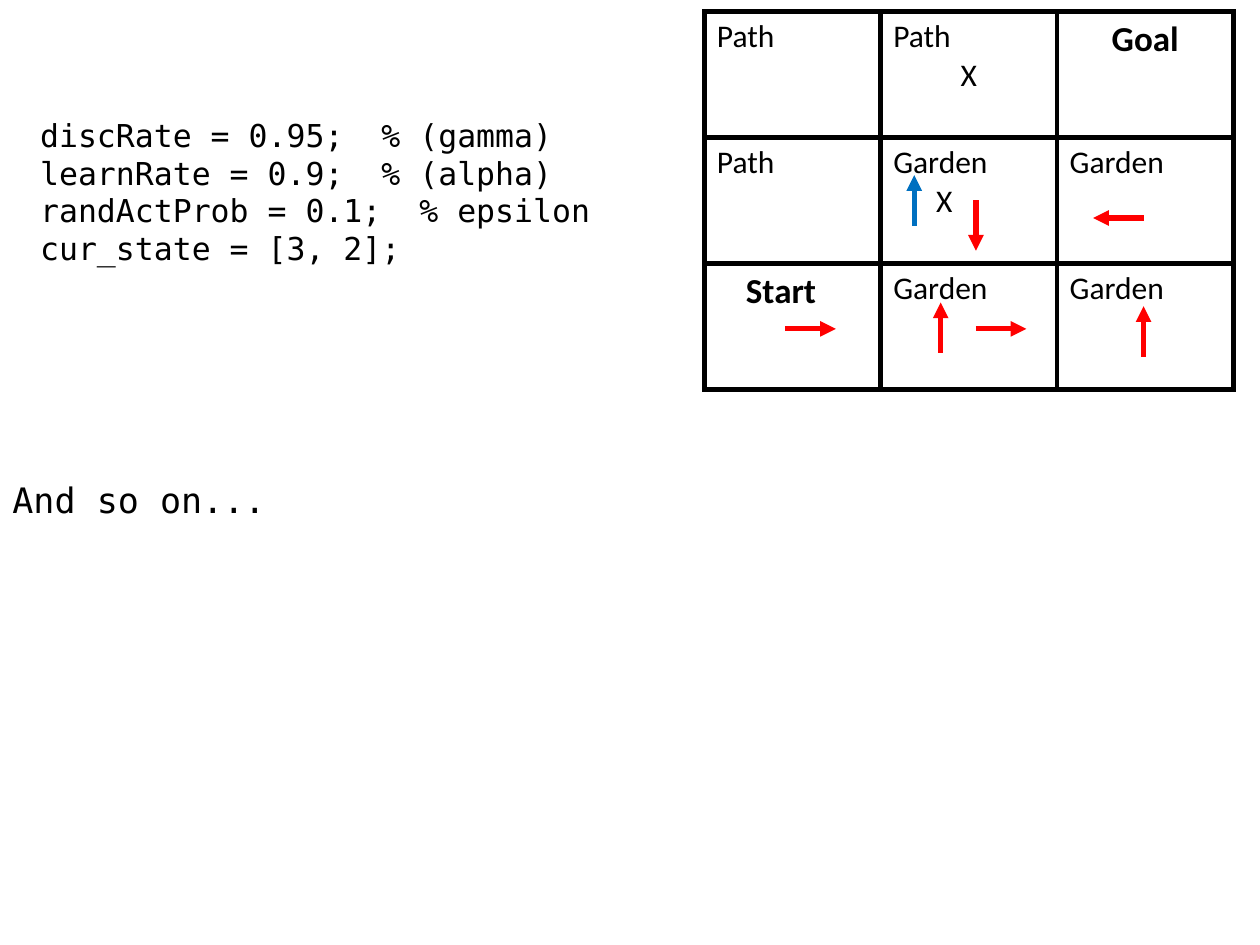
import pptx
import pptx.dml.color
import pptx.enum.shapes
import pptx.enum.text
import pptx.oxml
import pptx.oxml.ns
import pptx.util

Inches = pptx.util.Inches
Align = pptx.enum.text.PP_ALIGN

THEME = {
    "ink": "000000", "policy": "FF0000", "step": "0070C0",
    "body": "Calibri", "code": "DejaVu Sans Mono",
    "normal": 18, "large": 20, "stroke": 3,
}

SLIDE = (10, 7.5)
GRID = {"left": 5.59, "top": 0.09, "cell": (1.4, 1)}
ARROW_LENGTH = 0.4
DIRECTIONS = {"right": (1, 0), "left": (-1, 0), "up": (0, -1), "down": (0, 1)}

SETTINGS = [
    "discRate = 0.95;  % (gamma)",
    "learnRate = 0.9;  % (alpha)",
    "randActProb = 0.1;  % epsilon",
    "cur_state = [3, 2];",
]
CLOSING = "And so on..."

PATH, GARDEN = ("Path", {}), ("Garden", {})
HEADING = {"size": THEME["large"], "bold": True}
WORLD = [
    [[PATH], [PATH, ("X", {"align": Align.CENTER})],
     [("Goal", {**HEADING, "align": Align.CENTER})]],
    [[PATH], [GARDEN, ("X", {"indent": 0.34})], [GARDEN]],
    [[("Start", {**HEADING, "indent": 0.23})], [GARDEN], [GARDEN]],
]

# row, column, start as shares of the cell, direction, colour
ARROWS = [
    (2, 0, 0.46, 0.52, "right", "policy"),
    (2, 1, 0.54, 0.52, "right", "policy"),
    (2, 2, 0.49, 0.74, "up", "policy"),
    (1, 2, 0.49, 0.64, "left", "policy"),
    (1, 1, 0.54, 0.5, "down", "policy"),
    (2, 1, 0.34, 0.71, "up", "policy"),
    (1, 1, 0.19, 0.7, "up", "step"),
]


def colour(name):
    return pptx.dml.color.RGBColor.from_string(THEME[name])


def element(xml):
    namespace = pptx.oxml.ns.nsdecls("a")
    return pptx.oxml.parse_xml(xml.replace("NS", namespace, 1))


def write(frame, text, first=False, font="body", size=THEME["normal"],
          bold=False, align=Align.LEFT, indent=0):
    para = frame.paragraphs[0] if first else frame.add_paragraph()
    para.alignment = align
    if indent:
        para._p.get_or_add_pPr().set("marL", str(Inches(indent)))
    span = para.add_run()
    span.text = text
    span.font.name = THEME[font]
    span.font.size = pptx.util.Pt(size)
    span.font.bold = bold
    span.font.color.rgb = colour("ink")


def add_text(page, area, lines, **style):
    box = page.shapes.add_textbox(*map(Inches, area))
    box.text_frame.word_wrap = True
    for index, line in enumerate(lines):
        write(box.text_frame, line, first=index == 0, font="code", **style)


def add_borders(cell):
    properties = cell._tc.get_or_add_tcPr()
    width = pptx.util.Pt(THEME["stroke"])
    for index, side in enumerate(("lnL", "lnR", "lnT", "lnB")):
        properties.insert(index, element(
            f'<a:{side} NS w="{width}"><a:solidFill>'
            f'<a:srgbClr val="{THEME["ink"]}"/></a:solidFill></a:{side}>'))


def add_world(page):
    rows, columns = len(WORLD), len(WORLD[0])
    width, height = GRID["cell"]
    area = (GRID["left"], GRID["top"], columns * width, rows * height)
    table = page.shapes.add_table(rows, columns, *map(Inches, area)).table
    table.first_row = table.horz_banding = False
    for row, states in enumerate(WORLD):
        for column, lines in enumerate(states):
            cell = table.cell(row, column)
            cell.fill.background()
            add_borders(cell)
            for index, (text, style) in enumerate(lines):
                write(cell.text_frame, text, first=index == 0, **style)


def add_arrow(page, row, column, across, down, direction, tint):
    width, height = GRID["cell"]
    x = GRID["left"] + (column + across) * width
    y = GRID["top"] + (row + down) * height
    dx, dy = DIRECTIONS[direction]
    ends = (x, y, x + dx * ARROW_LENGTH, y + dy * ARROW_LENGTH)
    arrow = page.shapes.add_connector(
        pptx.enum.shapes.MSO_CONNECTOR.STRAIGHT, *map(Inches, ends))
    arrow.line.color.rgb = colour(tint)
    arrow.line.width = pptx.util.Pt(THEME["stroke"])
    arrow.line._get_or_add_ln().append(element('<a:tailEnd NS type="triangle"/>'))
    arrow._element.spPr.append(element("<a:effectLst NS/>"))


def main():
    deck = pptx.Presentation()
    deck.slide_width, deck.slide_height = map(Inches, SLIDE)
    page = deck.slides.add_slide(deck.slide_layouts[6])
    add_text(page, (0, SLIDE[1] / 2, 9.43, 0.44), [CLOSING], size=THEME["large"])
    add_world(page)
    add_text(page, (0.22, 0.87, 5, 1.31), SETTINGS)
    for arrow in ARROWS:
        add_arrow(page, *arrow)
    deck.save("out.pptx")


if __name__ == "__main__":
    main()
